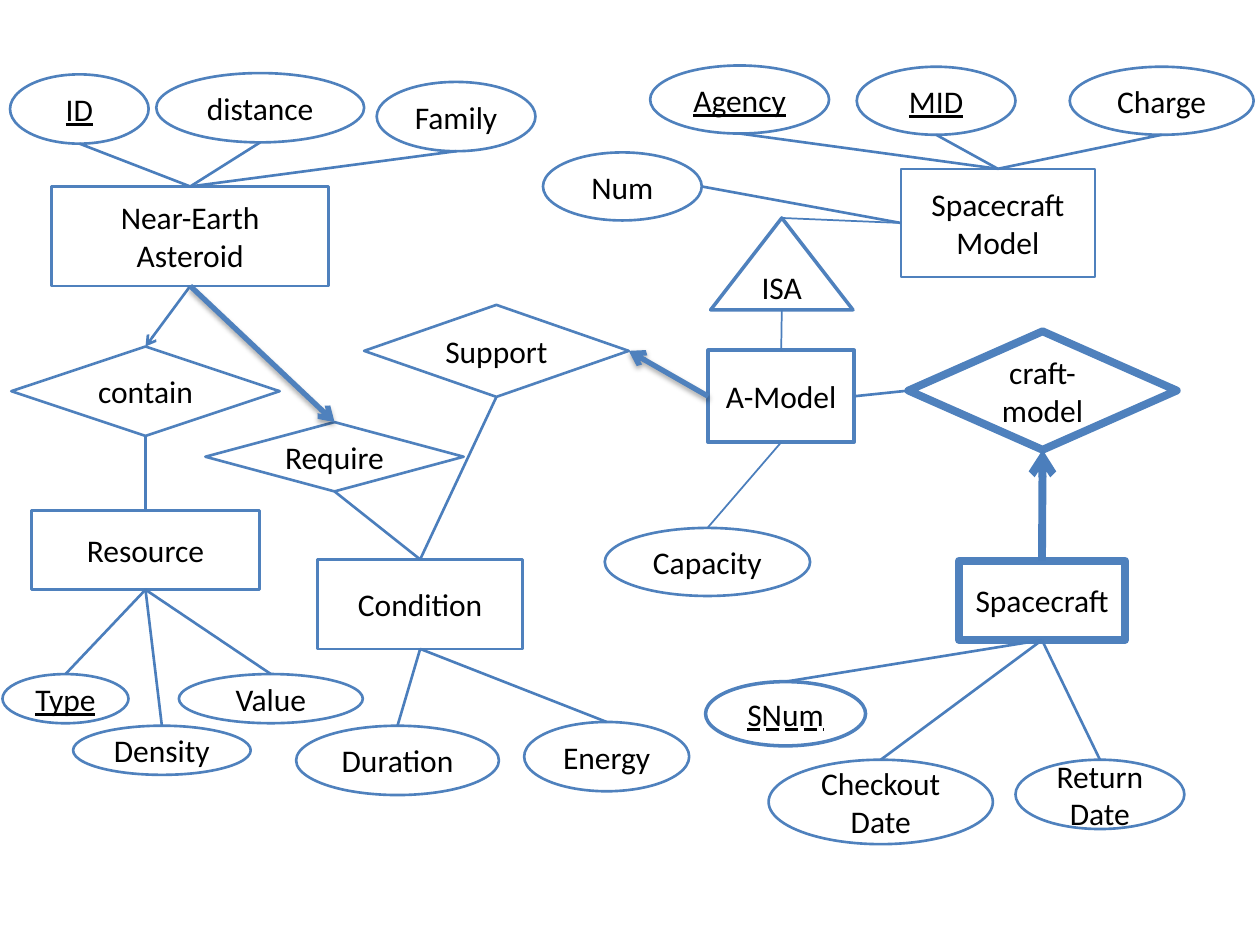
"""Draw an entity-relationship diagram of asteroids and spacecraft."""
from lxml import etree
from pptx import Presentation
from pptx.dml.color import RGBColor
from pptx.enum.shapes import MSO_CONNECTOR, MSO_SHAPE
from pptx.enum.text import MSO_ANCHOR, MSO_UNDERLINE, PP_ALIGN
from pptx.oxml.ns import qn
from pptx.util import Inches, Pt

RECT = MSO_SHAPE.RECTANGLE
OVAL = MSO_SHAPE.OVAL
RHOMB = MSO_SHAPE.FLOWCHART_DECISION
TRIANGLE = MSO_SHAPE.ISOSCELES_TRIANGLE
STRAIGHT = MSO_CONNECTOR.STRAIGHT
MIDDLE = MSO_ANCHOR.MIDDLE
CENTER = PP_ALIGN.CENTER
DASH = MSO_UNDERLINE.DASH_LINE

COLORS = {"fill": "FFFFFF", "edge": "4F81BD", "link": "4B7EBC",
          "text": "000000", "shade": "000000"}
FONT = {"name": "Calibri", "size": Pt(18)}
SIDES = {"top": (0.5, 0), "left": (0, 0.5), "bottom": (0.5, 1), "right": (1, 0.5)}

NODES = [
    ("Near-Earth Asteroid", RECT, (0.41, 1.48, 2.2, 0.79), 1.5),
    ("Spacecraft Model", RECT, (7.15, 1.34, 1.54, 0.86), 1),
    ("Resource", RECT, (0.25, 4.05, 1.81, 0.63), 1.5),
    ("Condition", RECT, (2.52, 4.44, 1.63, 0.71), 1.5),
    ("A-Model", RECT, (5.62, 2.78, 1.16, 0.73), 2),
    ("Spacecraft", RECT, (7.61, 4.45, 1.32, 0.63), 4.5),
    ("contain", RHOMB, (0.09, 2.75, 2.13, 0.71), 1.5),
    ("Require", RHOMB, (1.63, 3.35, 2.05, 0.55), 1.5),
    ("Support", RHOMB, (2.89, 2.42, 2.1, 0.73), 1.5),
    ("craft-model", RHOMB, (7.21, 2.63, 2.13, 0.94), 4.5),
    ("ISA", TRIANGLE, (5.64, 1.73, 1.13, 0.73), 2),
    ("ID", OVAL, (0.08, 0.59, 1.1, 0.55), 1.5),
    ("distance", OVAL, (1.24, 0.58, 1.65, 0.55), 1.5),
    ("Family", OVAL, (2.99, 0.65, 1.26, 0.55), 1.5),
    ("Agency", OVAL, (5.16, 0.52, 1.42, 0.54), 1.5),
    ("MID", OVAL, (6.8, 0.53, 1.26, 0.54), 1.5),
    ("Charge", OVAL, (8.49, 0.53, 1.46, 0.54), 1.5),
    ("Num", OVAL, (4.31, 1.21, 1.26, 0.54), 1.5),
    ("Capacity", OVAL, (4.8, 4.19, 1.63, 0.54), 1.5),
    ("Type", OVAL, (0.02, 5.35, 1, 0.39), 1.5),
    ("Density", OVAL, (0.58, 5.76, 1.41, 0.39), 1.5),
    ("Value", OVAL, (1.42, 5.35, 1.46, 0.39), 1.5),
    ("Duration", OVAL, (2.35, 5.76, 1.61, 0.55), 1.5),
    ("Energy", OVAL, (4.16, 5.73, 1.31, 0.55), 1.5),
    ("SNum", OVAL, (5.6, 5.41, 1.27, 0.51), 2),
    ("Checkout Date", OVAL, (6.1, 6.03, 1.78, 0.67), 1.5),
    ("Return Date", OVAL, (8.06, 6.03, 1.34, 0.55), 1.5),
]
KEYS = {"ID": True, "Agency": True, "MID": True, "Type": True, "SNum": DASH}

FANS = [
    ("Near-Earth Asteroid", "top", "bottom", ("ID", "distance", "Family")),
    ("Spacecraft Model", "top", "bottom", ("Agency", "MID", "Charge")),
    ("Resource", "bottom", "top", ("Type", "Density", "Value")),
    ("Condition", "bottom", "top", ("Duration", "Energy")),
    ("Condition", "top", "bottom", ("Require", "Support")),
    ("Spacecraft", "bottom", "top", ("SNum", "Checkout Date", "Return Date")),
    ("Spacecraft Model", "left", "right", ("Num",)),
    ("contain", "bottom", "top", ("Resource",)),
    ("craft-model", "left", "right", ("A-Model",)),
]
THIN = [
    ("A-Model", "bottom", "top", "Capacity"),
    ("Spacecraft Model", "left", "top", "ISA"),
    ("ISA", "bottom", "top", "A-Model"),
]
ARROWS = [
    ("Near-Earth Asteroid", "bottom", "top", "contain", 1.5, False),
    ("Near-Earth Asteroid", "bottom", "top", "Require", 3, True),
    ("A-Model", "left", "right", "Support", 3, True),
    ("Spacecraft", "top", "bottom", "craft-model", 4.5, False),
]


def paint(name):
    """Return a named colour."""
    return RGBColor.from_string(COLORS[name])


def style(target, values):
    """Set each attribute in values on target."""
    for name, value in values.items():
        setattr(target, name, value)


def node(slide, label, kind, box, width):
    """Add a labelled shape and return it."""
    shape = slide.shapes.add_shape(kind, *map(Inches, box))
    shape.shadow.inherit = False
    shape.fill.solid()
    shape.fill.fore_color.rgb = paint("fill")
    shape.line.color.rgb = paint("edge")
    shape.line.width = Pt(width)
    frame = shape.text_frame
    style(frame, {"word_wrap": True, "vertical_anchor": MIDDLE})
    para = frame.paragraphs[0]
    para.alignment = CENTER
    run = para.add_run()
    run.text = label
    style(run.font, {**FONT, "underline": KEYS.get(label)})
    run.font.color.rgb = paint("text")
    return shape


def point(shape, side):
    """Return the middle of one side of a shape."""
    across, down = SIDES[side]
    return (int(shape.left + across * shape.width),
            int(shape.top + down * shape.height))


def shade(effects):
    """Add a soft drop shadow to an effect list."""
    outer = etree.SubElement(effects, qn("a:outerShdw"), blurRad=str(Pt(3.1)),
                             dist=str(Pt(1.8)), dir="5400000", rotWithShape="0")
    color = etree.SubElement(outer, qn("a:srgbClr"), val=COLORS["shade"])
    etree.SubElement(color, qn("a:alpha"), val="35000")


def link(slide, start, end, width=1.5, arrow=False, shadow=False):
    """Join two points with a line or an arrow."""
    line = slide.shapes.add_connector(STRAIGHT, *start, *end)
    line.line.color.rgb = paint("edge" if shadow else "link")
    line.line.width = Pt(width)
    props = line._element.spPr
    if arrow:
        etree.SubElement(props.find(qn("a:ln")), qn("a:tailEnd"), type="arrow")
    effects = etree.SubElement(props, qn("a:effectLst"))
    if shadow:
        shade(effects)


def main():
    """Build and save the slide."""
    deck = Presentation()
    style(deck, {"slide_width": Inches(10), "slide_height": Inches(7.5)})
    slide = deck.slides.add_slide(deck.slide_layouts[6])
    nodes = {item[0]: node(slide, *item) for item in NODES}
    for hub, side, far, leaves in FANS:
        for leaf in leaves:
            link(slide, point(nodes[hub], side), point(nodes[leaf], far))
    for hub, side, far, leaf in THIN:
        link(slide, point(nodes[hub], side), point(nodes[leaf], far), 1)
    for hub, side, far, leaf, width, shadow in ARROWS:
        link(slide, point(nodes[hub], side), point(nodes[leaf], far),
             width, True, shadow)
    deck.save("out.pptx")


main()
